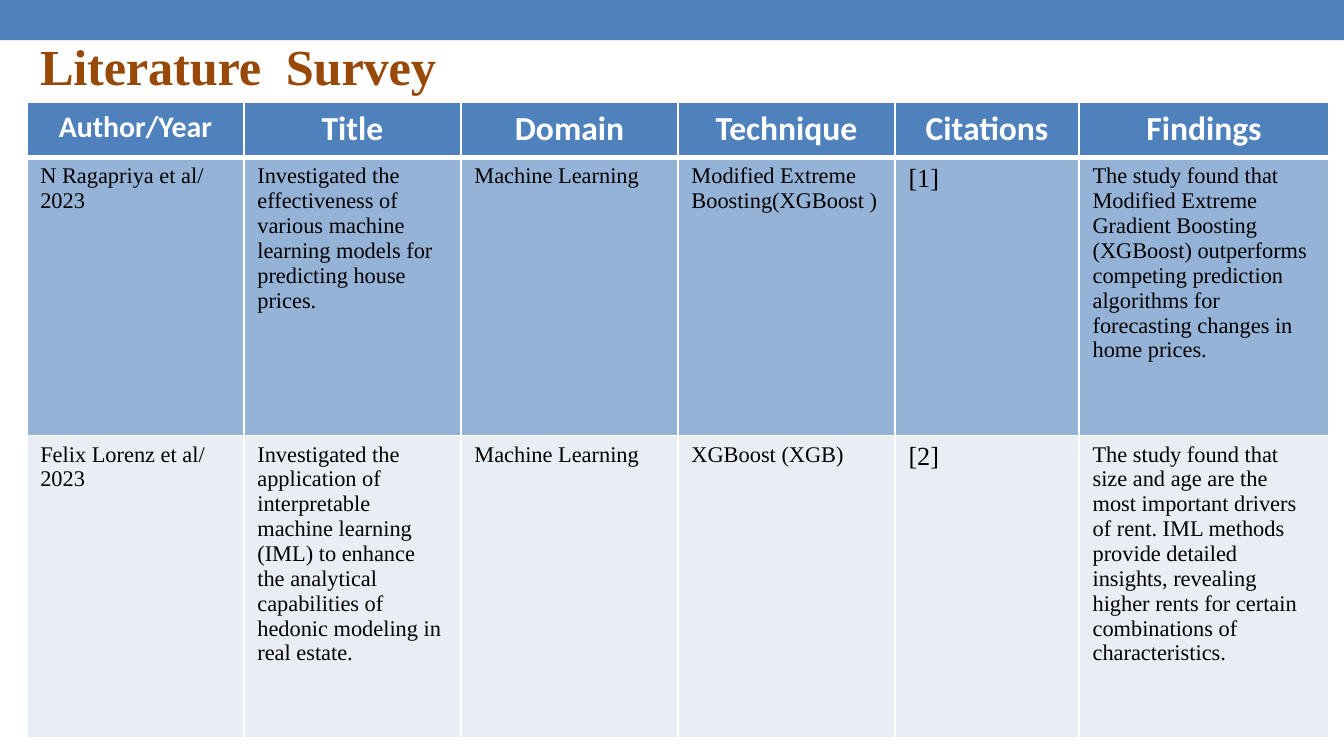
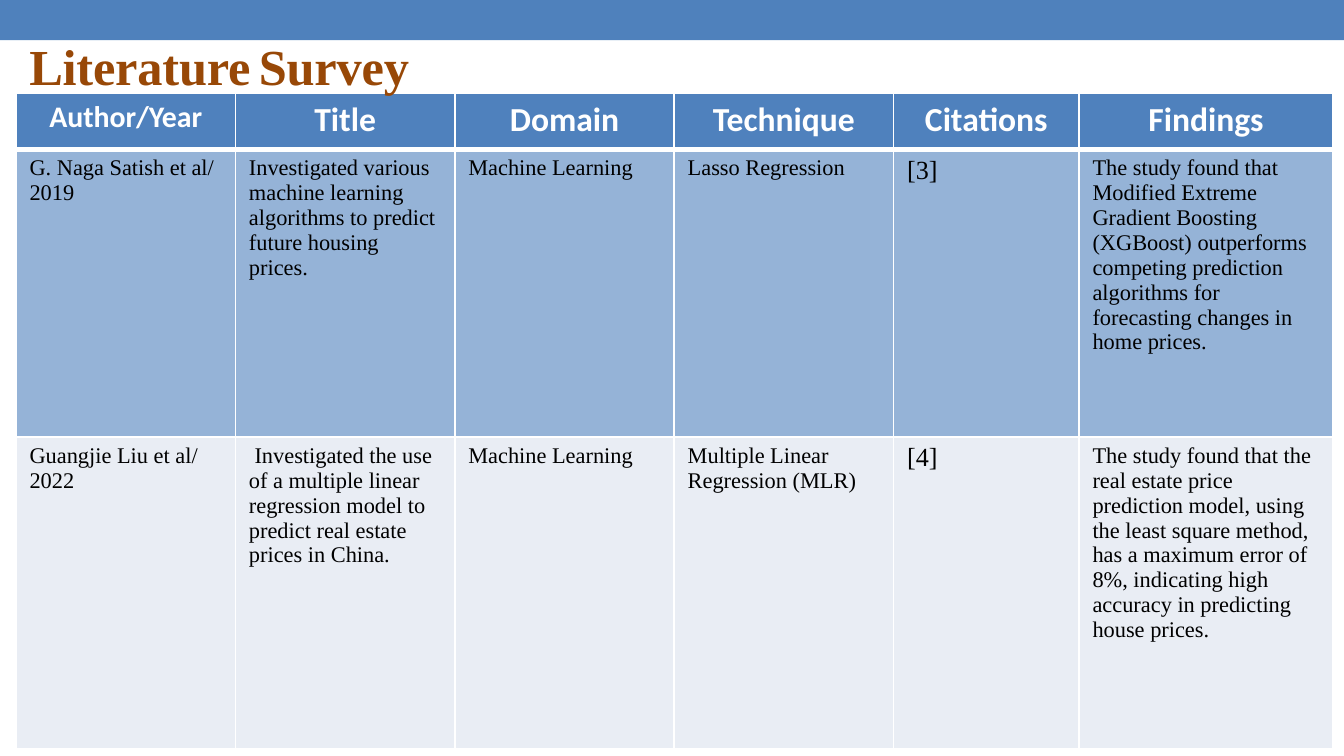
from lxml import etree
from pptx import Presentation
from pptx.dml.color import RGBColor
from pptx.enum.shapes import MSO_SHAPE
from pptx.enum.text import MSO_AUTO_SIZE, PP_ALIGN
from pptx.oxml.ns import qn
from pptx.util import Inches, Pt

RECT = MSO_SHAPE.RECTANGLE
CENTER, LEFT = PP_ALIGN.CENTER, PP_ALIGN.LEFT
GROW = MSO_AUTO_SIZE.SHAPE_TO_FIT_TEXT

BAND = RGBColor(0x4F, 0x81, 0xBC)
HEAD = RGBColor(0x4F, 0x81, 0xBD)
ROWS = (RGBColor(0x95, 0xB3, 0xD7), RGBColor(0xE9, 0xED, 0xF4))
BROWN = RGBColor(0x98, 0x48, 0x07)
WHITE = RGBColor(0xFF, 0xFF, 0xFF)
BLACK = RGBColor(0, 0, 0)
SERIF, SANS = "Times New Roman", "Calibri"

WIDE = Inches(10)
HEADS = ("Author/Year", "Title", "Domain", "Technique", "Citations", "Findings")
CITE = HEADS.index("Citations")
FIELD = "Machine Learning"
BOOST = ("The study found that Modified Extreme Gradient Boosting (XGBoost) "
         "outperforms competing prediction algorithms for forecasting changes "
         "in home prices.")


class Deck:
    def __init__(self):
        self.prs = Presentation()
        self.prs.slide_width = WIDE
        self.prs.slide_height = WIDE * 9 // 16
        self.slide = None

    def start(self):
        """Add a slide with the band along its top."""
        self.slide = self.prs.slides.add_slide(self.prs.slide_layouts[6])
        band = self.slide.shapes.add_shape(
            RECT, Inches(0), Inches(0), WIDE, Inches(0.3))
        band.shadow.inherit = False
        band.fill.solid()
        band.fill.fore_color.rgb = BAND
        band.line.fill.background()

    def run(self, para, text, size, color, font=SERIF, bold=False, gap=None):
        """Add a run; gap is the letter spacing in hundredths of a point."""
        run = para.add_run()
        run.text = text
        run.font.size = Pt(size)
        run.font.name = font
        run.font.bold = bold
        run.font.color.rgb = color
        if gap is not None:
            run.font._element.set("spc", str(gap))

    def title(self, left, parts):
        box = self.slide.shapes.add_textbox(
            Inches(left), Inches(0.21), Inches(5), Inches(0.56))
        frame = box.text_frame
        frame.word_wrap = True
        frame.auto_size = GROW
        for text, size, gap in parts:
            self.run(frame.paragraphs[0], text, size, BROWN, bold=True, gap=gap)

    def edge(self, cell, base):
        """Draw white borders; base is the width of the lower one in points."""
        props = cell._tc.get_or_add_tcPr()
        sides = (("lnL", 1), ("lnR", 1), ("lnT", 1), ("lnB", base))
        for spot, (side, width) in enumerate(sides):
            line = etree.Element(qn(f"a:{side}"), w=str(Pt(width)))
            fill = etree.SubElement(line, qn("a:solidFill"))
            etree.SubElement(fill, qn("a:srgbClr"), val=str(WHITE))
            props.insert(spot, line)

    def cell(self, cell, parts, fill, align=LEFT, base=1, **style):
        """Fill one cell; parts are pairs of text and bold flag."""
        cell.fill.solid()
        cell.fill.fore_color.rgb = fill
        self.edge(cell, base)
        para = cell.text_frame.paragraphs[0]
        para.alignment = align
        for text, bold in parts:
            self.run(para, text, bold=bold, **style)

    def table(self, left, top, width, last, heights, papers):
        """Add the survey table; last holds the widths of the last two
        columns, and the other columns share the rest equally."""
        even = len(HEADS) - len(last)
        widths = [(width - sum(last)) / even] * even + last
        table = self.slide.shapes.add_table(
            len(heights), len(widths), Inches(left), Inches(top),
            Inches(width), Inches(sum(heights))).table
        for col, size in zip(table.columns, widths):
            col.width = Inches(size)
        for row, size in zip(table.rows, heights):
            row.height = Inches(size)
        for c, text in enumerate(HEADS):
            self.cell(table.cell(0, c), [(text, True)], HEAD, CENTER, base=3,
                      size=18 if c else 16, color=WHITE, font=SANS)
        for r, (paper, fill) in enumerate(zip(papers, ROWS), 1):
            for c, text in enumerate(paper):
                parts = [(text, False)] if isinstance(text, str) else text
                self.cell(table.cell(r, c), parts, fill,
                          size=14 if c == CITE else 12, color=BLACK)


def main():
    deck = Deck()

    deck.start()
    deck.table(0.2, 0.76, 9.69, [1.37, 1.86], [0.41, 2.07, 2.25], [
        ("N Ragapriya et al/ 2023",
         "Investigated the effectiveness of various machine learning models "
         "for predicting house prices.",
         FIELD, "Modified Extreme Boosting(XGBoost )", "[1]", BOOST),
        ("Felix Lorenz et al/ 2023",
         "Investigated the application of interpretable machine learning (IML) "
         "to enhance the analytical capabilities of hedonic modeling in real "
         "estate.",
         FIELD, "XGBoost (XGB)", "[2]",
         "The study found that size and age are the most important drivers of "
         "rent. IML methods provide detailed insights, revealing higher rents "
         "for certain combinations of characteristics."),
    ])
    deck.title(0.2, [("Literature  Survey", 27, -10)])

    deck.start()
    deck.table(0.12, 0.69, 9.8, [1.38, 1.89], [0.42, 2.14, 2.32], [
        ("G. Naga Satish et al/ 2019",
         "Investigated various machine learning algorithms to predict future "
         "housing prices.",
         FIELD, "Lasso Regression", "[3]", BOOST),
        ("Guangjie Liu et al/ 2022",
         [(" ", True),
          ("Investigated the use of a multiple linear regression model to "
           "predict real estate prices in China.", False)],
         FIELD, "Multiple Linear Regression (MLR)", "[4]",
         "The study found that the real estate price prediction model, using "
         "the least square method, has a maximum error of 8%, indicating high "
         "accuracy in predicting house prices."),
    ])
    deck.title(0.12, [("Literature", 27, -10), (" ", 18, -90), ("Survey", 27, -10)])

    deck.prs.save("out.pptx")


if __name__ == "__main__":
    main()
